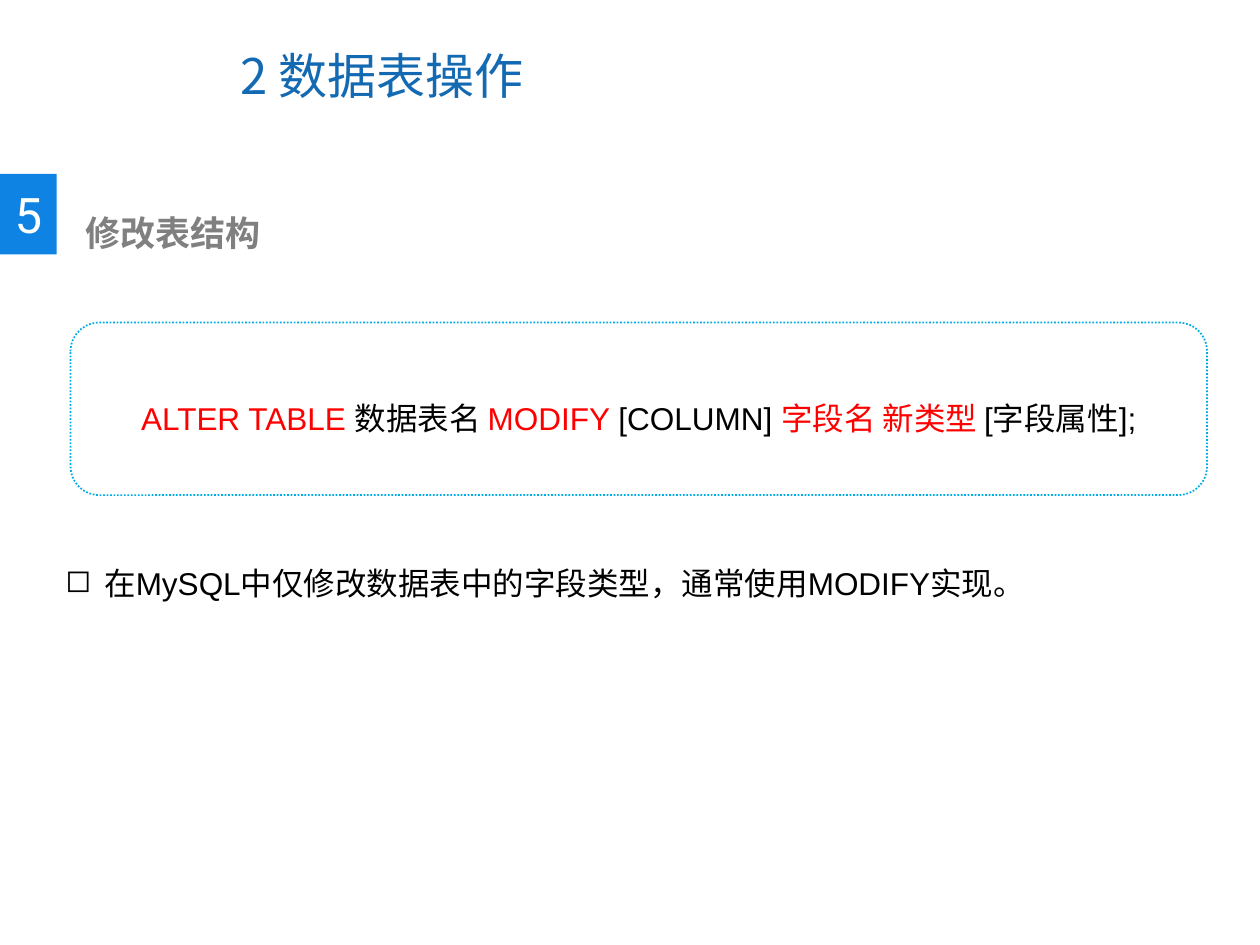
"""Build a slide on changing a column type with ALTER TABLE."""
from lxml import etree
from pptx import Presentation
from pptx.dml.color import RGBColor
from pptx.enum.dml import MSO_LINE
from pptx.enum.shapes import MSO_SHAPE
from pptx.enum.text import MSO_ANCHOR, PP_ALIGN
from pptx.oxml.ns import qn
from pptx.util import Inches, Pt

RECTANGLE, ROUNDED = MSO_SHAPE.RECTANGLE, MSO_SHAPE.ROUNDED_RECTANGLE
MIDDLE, TOP = MSO_ANCHOR.MIDDLE, MSO_ANCHOR.TOP
LEFT, CENTER = PP_ALIGN.LEFT, PP_ALIGN.CENTER
DOTTED = MSO_LINE.ROUND_DOT

COLORS = {"title": "1369B2", "badge": "0F83E3", "heading": "808080", "border": "00ACE6",
          "keyword": "FF0000", "text": "000000", "white": "FFFFFF"}
LATIN, CHINESE, DIGIT = "Arial", "Noto Sans CJK SC", "Roboto"

TITLE = "2 数据表操作"
SECTION_NUMBER = "5"
SECTION = "修改表结构"
SYNTAX = [("ALTER TABLE ", "keyword"), ("数据表名 ", "text"), ("MODIFY ", "keyword"),
          ("[COLUMN] ", "text"), ("字段名 新类型 ", "keyword"), ("[字段属性];", "text")]
NOTE = "在MySQL中仅修改数据表中的字段类型，通常使用MODIFY实现。"
BULLET, INDENT = "◻", Inches(0.31)

PLACES = {"title": (1.81, 0.17, 5.16, 0.85), "badge": (0, 1.38, 0.45, 0.64),
          "heading": (0.58, 1.63, 5.03, 0.44), "syntax": (0.56, 2.56, 9.02, 1.37),
          "note": (0.42, 4.13, 8.43, 0.71)}


def place(name):
    return [Inches(length) for length in PLACES[name]]


def color(name):
    return RGBColor.from_string(COLORS[name])


def write(box, spans, size, font=LATIN, bold=False, align=LEFT, anchor=TOP, spacing=1.0):
    frame = box.text_frame
    frame.word_wrap = True
    frame.vertical_anchor = anchor
    para = frame.paragraphs[0]
    para.alignment = align
    para.line_spacing = spacing
    for text, color_name in spans:
        span = para.add_run()
        span.text = text
        span.font.size = Pt(size)
        span.font.name = font
        span.font.bold = bold
        span.font.color.rgb = color(color_name)
        east_asian = etree.SubElement(span.font._element, qn("a:ea"))
        east_asian.set("typeface", CHINESE)
    return para


def add_panel(page, kind, name, fill):
    panel = page.shapes.add_shape(kind, *place(name))
    panel.shadow.inherit = False
    panel.fill.solid()
    panel.fill.fore_color.rgb = color(fill)
    panel.line.fill.background()
    return panel


def add_bullet(para):
    properties = para._p.get_or_add_pPr()
    properties.set("marL", str(INDENT))
    properties.set("indent", str(-INDENT))
    etree.SubElement(properties, qn("a:buChar")).set("char", BULLET)


def main():
    deck = Presentation()
    deck.slide_width, deck.slide_height = Inches(10), Inches(7.5)
    page = deck.slides.add_slide(deck.slide_layouts[5])

    title = page.shapes.title
    title.left, title.top, title.width, title.height = place("title")
    write(title, [(TITLE, "title")], 28, CHINESE, anchor=MIDDLE)

    badge = add_panel(page, RECTANGLE, "badge", "badge")
    write(badge, [(SECTION_NUMBER, "white")], 28, DIGIT, align=CENTER, anchor=MIDDLE)
    badge.text_frame.word_wrap = False

    heading = page.shapes.add_textbox(*place("heading"))
    write(heading, [(SECTION, "heading")], 20, CHINESE, bold=True)

    syntax = add_panel(page, ROUNDED, "syntax", "white")
    syntax.line.color.rgb = color("border")
    syntax.line.width = Pt(1)
    syntax.line.dash_style = DOTTED
    write(syntax, SYNTAX, 18, align=CENTER, anchor=MIDDLE, spacing=1.5)

    note = page.shapes.add_textbox(*place("note"))
    add_bullet(write(note, [(NOTE, "text")], 18, spacing=2.0))

    deck.save("out.pptx")


if __name__ == "__main__":
    main()
